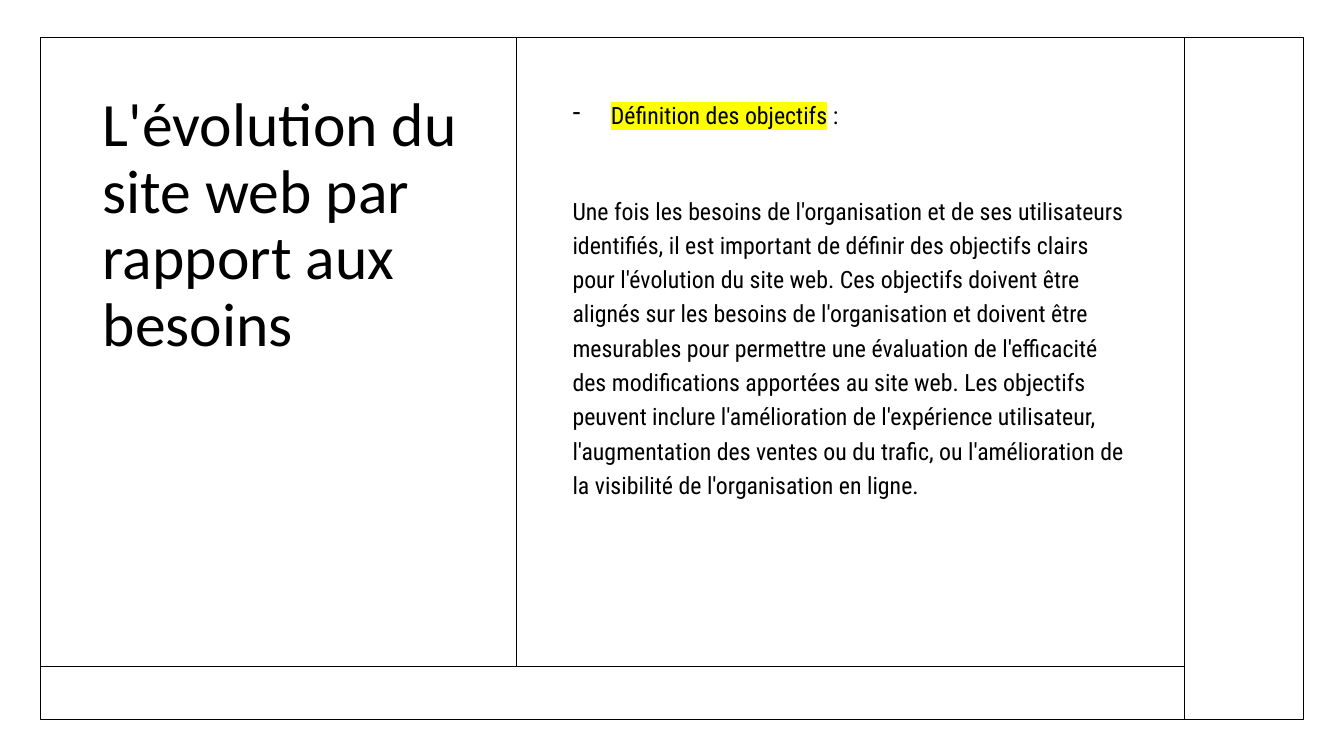
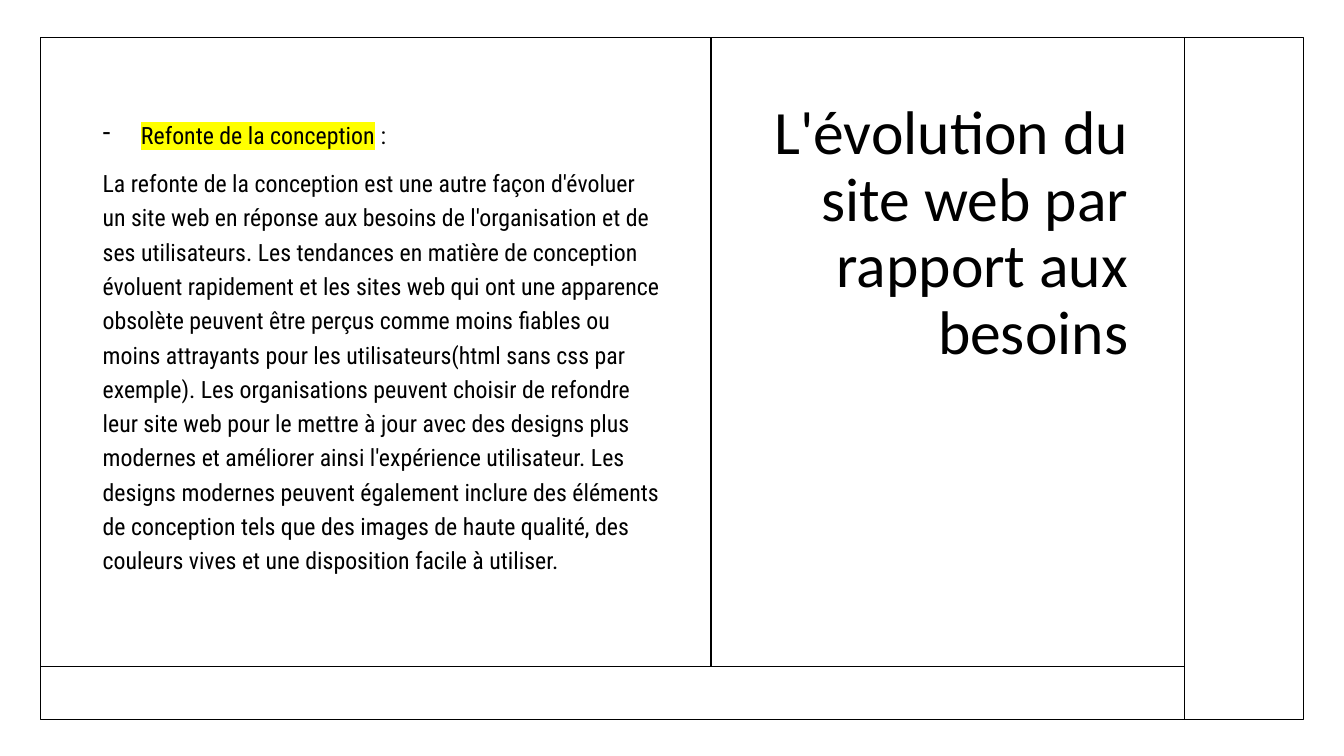
from lxml import etree
from pptx import Presentation
from pptx.dml.color import RGBColor
from pptx.enum.shapes import MSO_CONNECTOR, MSO_SHAPE
from pptx.enum.text import MSO_ANCHOR, PP_ALIGN
from pptx.oxml.ns import qn
from pptx.util import Inches, Pt

RECTANGLE = MSO_SHAPE.RECTANGLE
STRAIGHT = MSO_CONNECTOR.STRAIGHT
TOP, BOTTOM = MSO_ANCHOR.TOP, MSO_ANCHOR.BOTTOM
LEFT, RIGHT = PP_ALIGN.LEFT, PP_ALIGN.RIGHT

COLORS = {"ink": "000000", "highlight": "FFFF00"}
TITLE_FONT, BODY_FONT = "Calibri", "Roboto Condensed"
FRAME_LEFT, FRAME_TOP, FRAME_WIDTH, FRAME_HEIGHT = 0.4, 0.37, 12.53, 6.77
BAND_TOP, SIDEBAR_LEFT = 6.61, 11.75
TITLE = "L'évolution du site web par rapport aux besoins"


def write_run(paragraph, text, font=BODY_FONT, size=17, color="ink", highlight=None):
    run = paragraph.add_run()
    run.text = text
    run.font.size = Pt(size)
    run.font.color.rgb = RGBColor.from_string(COLORS[color])
    if highlight:
        mark = etree.SubElement(run.font._element, qn("a:highlight"))
        etree.SubElement(mark, qn("a:srgbClr"), val=COLORS[highlight])
    run.font.name = font


class Deck:
    """Hold the shared style and the current slide."""

    def __init__(self):
        self.presentation = Presentation()
        self.presentation.slide_width = Inches(13.33)
        self.presentation.slide_height = Inches(7.5)
        self.slide = None

    def add_slide(self, divider):
        self.slide = self.presentation.slides.add_slide(self.presentation.slide_layouts[6])
        self.frame()
        self.line(FRAME_LEFT, BAND_TOP, SIDEBAR_LEFT, BAND_TOP)
        self.line(SIDEBAR_LEFT, FRAME_TOP, SIDEBAR_LEFT, FRAME_TOP + FRAME_HEIGHT)
        self.line(divider, FRAME_TOP, divider, BAND_TOP)

    def stroke(self, line):
        line.color.rgb = RGBColor.from_string(COLORS["ink"])
        line.width = Pt(1)

    def frame(self):
        shape = self.slide.shapes.add_shape(
            RECTANGLE, Inches(FRAME_LEFT), Inches(FRAME_TOP),
            Inches(FRAME_WIDTH), Inches(FRAME_HEIGHT))
        shape.shadow.inherit = False
        shape.fill.background()
        self.stroke(shape.line)

    def line(self, start_x, start_y, end_x, end_y):
        connector = self.slide.shapes.add_connector(
            STRAIGHT, Inches(start_x), Inches(start_y), Inches(end_x), Inches(end_y))
        self.stroke(connector.line)
        etree.SubElement(connector._element.spPr, qn("a:effectLst"))

    def text_frame(self, left, top, width, height, anchor=TOP):
        box = self.slide.shapes.add_textbox(
            Inches(left), Inches(top), Inches(width), Inches(height))
        box.text_frame.word_wrap = True
        box.text_frame.vertical_anchor = anchor
        return box.text_frame

    def title(self, left, top, width, height, alignment=LEFT):
        paragraph = self.text_frame(left, top, width, height).paragraphs[0]
        paragraph.alignment = alignment
        paragraph.line_spacing = 0.9
        write_run(paragraph, TITLE, font=TITLE_FONT, size=44)

    def body(self, left, top, width, height, heading, colon, text, gap=10, anchor=TOP):
        text_frame = self.text_frame(left, top, width, height, anchor)
        bullet = text_frame.paragraphs[0]
        detail = text_frame.add_paragraph()
        for paragraph, space in ((bullet, 10), (detail, gap)):
            paragraph.line_spacing = 1.2
            paragraph.space_before = Pt(space)
        properties = bullet._p.get_or_add_pPr()
        properties.set("marL", str(Inches(0.38)))
        properties.set("indent", str(Inches(-0.38)))
        etree.SubElement(properties, qn("a:buChar"), char="-")
        write_run(bullet, heading, highlight="highlight")
        write_run(bullet, colon)
        write_run(detail, text)


def main():
    deck = Deck()

    deck.add_slide(divider=5.12)
    deck.title(0.92, 0.88, 3.75, 5.23)
    deck.body(
        5.58, 0.89, 5.71, 5.22, "Définition des objectifs", " :",
        "Une fois les besoins de l'organisation et de ses utilisateurs identifiés, "
        "il est important de définir des objectifs clairs pour l'évolution du site web. "
        "Ces objectifs doivent être alignés sur les besoins de l'organisation et doivent "
        "être mesurables pour permettre une évaluation de l'efficacité des modifications "
        "apportées au site web. Les objectifs peuvent inclure l'amélioration de "
        "l'expérience utilisateur, l'augmentation des ventes ou du trafic, ou "
        "l'amélioration de la visibilité de l'organisation en ligne.",
        gap=44)

    deck.add_slide(divider=7.05)
    deck.title(7.44, 0.96, 3.85, 5.12, alignment=RIGHT)
    deck.body(
        0.92, 0.92, 5.73, 4.83, "Refonte de la conception", " :",
        "La refonte de la conception est une autre façon d'évoluer un site web en réponse "
        "aux besoins de l'organisation et de ses utilisateurs. Les tendances en matière "
        "de conception évoluent rapidement et les sites web qui ont une apparence "
        "obsolète peuvent être perçus comme moins fiables ou moins attrayants pour les "
        "utilisateurs(html sans css par exemple). Les organisations peuvent choisir de "
        "refondre leur site web pour le mettre à jour avec des designs plus modernes et "
        "améliorer ainsi l'expérience utilisateur. Les designs modernes peuvent également "
        "inclure des éléments de conception tels que des images de haute qualité, des "
        "couleurs vives et une disposition facile à utiliser.",
        anchor=BOTTOM)

    deck.presentation.save("out.pptx")


if __name__ == "__main__":
    main()
